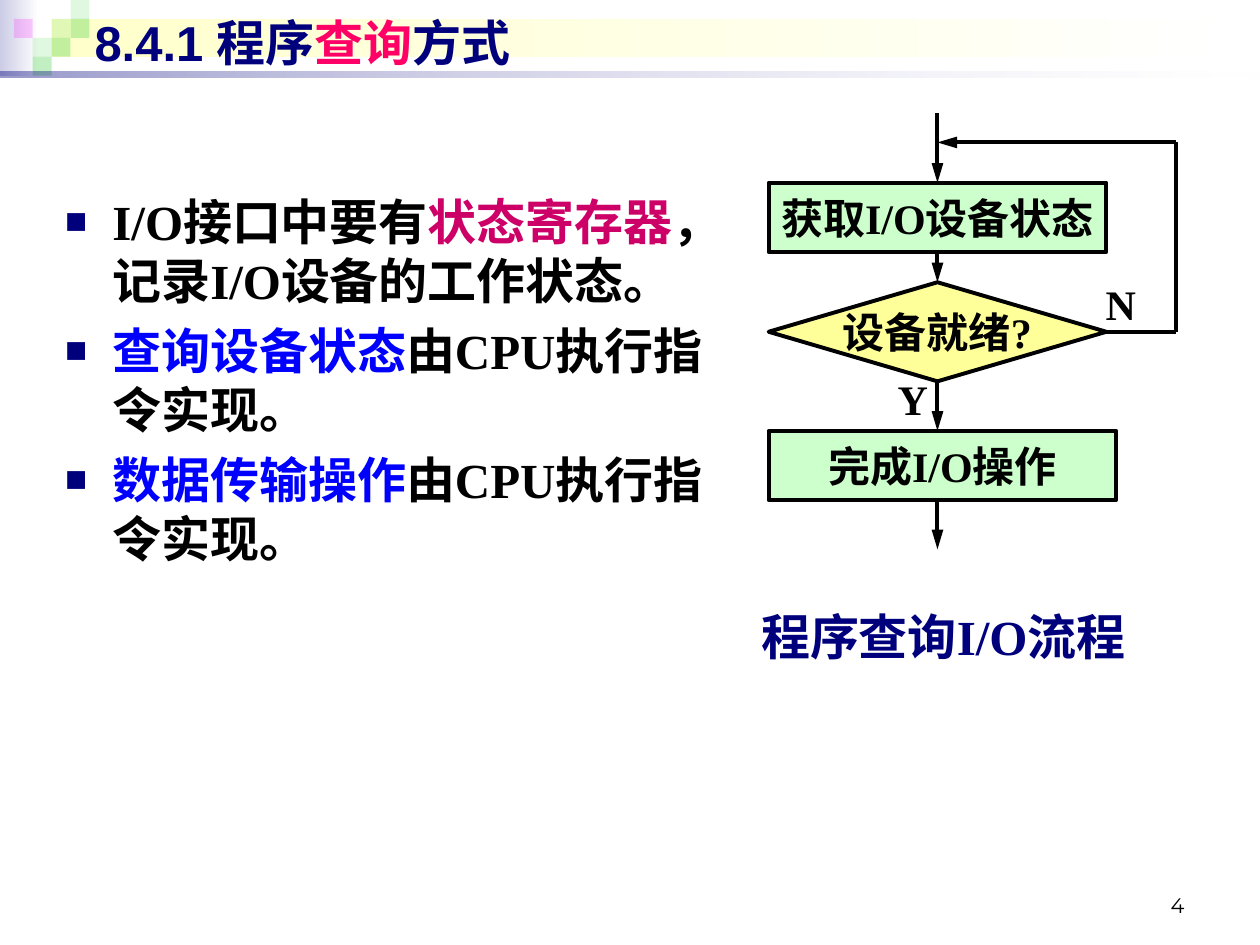
from lxml import etree
from pptx import Presentation
from pptx.dml.color import RGBColor
from pptx.enum.shapes import MSO_CONNECTOR, MSO_SHAPE as SHAPE
from pptx.enum.text import MSO_ANCHOR as ANCHOR, PP_ALIGN as ALIGN
from pptx.oxml.ns import qn
from pptx.util import Pt

COLORS = {
    "navy": "00007D", "black": "000000", "white": "FFFFFF",
    "lavender": "CCCCE6", "cream": "FFFFCC", "green": "33CC33",
    "magenta": "FF00FF", "pink": "FF0066", "crimson": "CC0066",
    "blue": "0000FF", "mint": "CCFFCC", "yellow": "FFFF99",
}
SERIF = "Times New Roman"
TILE = 10.8


def rgb(name):
    return RGBColor.from_string(COLORS[name])


def place(shape, left, top, width, height):
    shape.left, shape.top = Pt(left), Pt(top)
    shape.width, shape.height = Pt(width), Pt(height)


def write(paragraph, parts, size, font=SERIF, bold=True):
    for text, color in parts:
        run = paragraph.add_run()
        run.text = text
        run.font.color.rgb = rgb(color)
    paragraph.font.size = Pt(size)
    paragraph.font.name = font
    paragraph.font.bold = bold


def add_label(slide, box, text, size=24, color="black", align=ALIGN.CENTER,
              anchor=ANCHOR.TOP, font=SERIF, bold=True):
    frame = slide.shapes.add_textbox(*map(Pt, box)).text_frame
    frame.word_wrap = True
    frame.vertical_anchor = anchor
    frame.paragraphs[0].alignment = align
    write(frame.paragraphs[0], [(text, color)], size, font, bold)


def add_band(slide, box, colors, alphas=(100, 100)):
    band = slide.shapes.add_shape(SHAPE.RECTANGLE, *map(Pt, box))
    band.shadow.inherit = False
    band.line.fill.background()
    if len(colors) == 1:
        band.fill.solid()
        band.fill.fore_color.rgb = rgb(colors[0])
    else:
        band.fill.gradient()
        band.fill.gradient_angle = 0
        for stop, color, position in zip(band.fill.gradient_stops, colors, (0, 1)):
            stop.color.rgb = rgb(color)
            stop.position = position
    for node, alpha in zip(band.element.spPr.iter(qn("a:srgbClr")), alphas):
        if alpha < 100:
            etree.SubElement(node, qn("a:alpha"), val=str(alpha * 1000))


def add_header(slide, left, top, width):
    add_band(slide, (left, top, 22.3, 43.2), ("lavender", "white"))
    add_band(slide, (left + 29.5, top + TILE, 687.6, 2 * TILE), ("cream", "white"))
    tiles = [(2, 1, "green", 15), (3, 0, "green", 15), (3, 1, "green", 30),
             (1, 2, "green", 15), (0, 1, "magenta", 20), (2, 2, "green", 30),
             (1, 3, "green", 30)]
    for column, row, color, alpha in tiles:
        box = (left + 7.9 + column * TILE, top + row * TILE, TILE, TILE)
        add_band(slide, box, (color,), (alpha,))
    add_band(slide, (left, top + 40.8, width, 3.8), ("navy", "white"), (40, 10))

    title = slide.shapes.title
    title.element.getparent().append(title.element)
    place(title, left + 46.8, top + 3.6, 648, 41)
    title.text_frame.vertical_anchor = ANCHOR.MIDDLE
    heading = title.text_frame.paragraphs[0]
    heading.alignment = ALIGN.LEFT
    write(heading, [("8.4.1 程序", "navy"), ("查询", "pink"), ("方式", "navy")], 28, "Arial")


def add_bullet(paragraph):
    props = paragraph._p.get_or_add_pPr()
    props.set("marL", str(Pt(27)))
    props.set("indent", str(Pt(-27)))
    color = etree.SubElement(props, qn("a:buClr"))
    etree.SubElement(color, qn("a:srgbClr"), val=COLORS["navy"])
    etree.SubElement(props, qn("a:buSzPct"), val="75000")
    etree.SubElement(props, qn("a:buFont"), typeface="Arial")
    etree.SubElement(props, qn("a:buChar"), char="■")


def add_points(slide, left, top, width, height):
    frame = slide.shapes.add_textbox(*map(Pt, (left, top, width, height))).text_frame
    frame.word_wrap = True
    points = [
        [("I/O接口中要有", "black"), ("状态寄存器", "crimson"),
         ("，记录I/O设备的工作状态。", "black")],
        [("查询设备状态", "blue"), ("由CPU执行指令实现。", "black")],
        [("数据传输操作", "blue"), ("由CPU执行指令实现。", "black")],
    ]
    for index, parts in enumerate(points):
        paragraph = frame.add_paragraph() if index else frame.paragraphs[0]
        if index:
            paragraph.space_before = Pt(6.5)
        add_bullet(paragraph)
        write(paragraph, parts, 28)


def add_step(slide, kind, box, fill, text):
    step = slide.shapes.add_shape(kind, *map(Pt, box))
    step.shadow.inherit = False
    step.fill.solid()
    step.fill.fore_color.rgb = rgb(fill)
    step.line.color.rgb = rgb("black")
    step.line.width = Pt(2.25)
    frame = step.text_frame
    frame.word_wrap = False
    frame.vertical_anchor = ANCHOR.MIDDLE
    frame.paragraphs[0].alignment = ALIGN.CENTER
    write(frame.paragraphs[0], [(text, "black")], 24)


def add_flow(slide, start, end, arrow=True):
    flow = slide.shapes.add_connector(MSO_CONNECTOR.STRAIGHT, *map(Pt, start + end))
    flow.line.color.rgb = rgb("black")
    flow.line.width = Pt(2.25)
    if arrow:
        etree.SubElement(flow.line._get_or_add_ln(), qn("a:tailEnd"),
                         type="triangle", w="med", len="lg")
    etree.SubElement(flow.element.spPr, qn("a:effectLst"))


def add_flowchart(slide, left, top):
    width, step_height = 193, 39.6
    query, ready, finish = top + 39.6, top + 96.5, top + 181.4
    ready_height = 56.6
    axis, right, loop = left + width / 2, left + width, left + 232.6
    middle, back = ready + ready_height / 2, top + 16.6

    add_step(slide, SHAPE.FLOWCHART_PROCESS, (left, query, width, step_height),
             "mint", "获取I/O设备状态")
    add_step(slide, SHAPE.FLOWCHART_DECISION, (left, ready, width, ready_height),
             "yellow", "设备就绪?")
    add_step(slide, SHAPE.FLOWCHART_PROCESS, (left, finish, 198.7, step_height),
             "mint", "完成I/O操作")

    downward = [(top, query), (query + step_height, ready),
                (ready + ready_height, finish),
                (finish + step_height, top + 249.1)]
    for start, end in downward:
        add_flow(slide, (axis, start), (axis, end))
    add_flow(slide, (right, middle), (loop, middle), arrow=False)
    add_flow(slide, (loop, middle), (loop, back), arrow=False)
    add_flow(slide, (loop, back), (axis, back))

    add_label(slide, (left + 62.6, top + 145.4, 39.6, 36), "Y")
    add_label(slide, (left + 181.4, top + 90.7, 39.6, 36), "N")
    add_label(slide, (left - 28, top + 278, 255.6, 41), "程序查询I/O流程", 28, "navy")


def add_page_number(slide, left, top, width, height):
    add_label(slide, (left, top, width, height), "4", 12, align=ALIGN.RIGHT,
              anchor=ANCHOR.BOTTOM, font="Montserrat", bold=False)


def main():
    deck = Presentation()
    deck.slide_width, deck.slide_height = Pt(720), Pt(540)
    slide = deck.slides.add_slide(deck.slide_layouts[5])
    add_header(slide, 0, 0, 720)
    add_points(slide, 30.2, 105.8, 403.2, 385.2)
    add_flowchart(slide, 439.2, 64.8)
    add_page_number(slide, 516.2, 491.8, 167.8, 36)
    deck.save("out.pptx")


if __name__ == "__main__":
    main()
